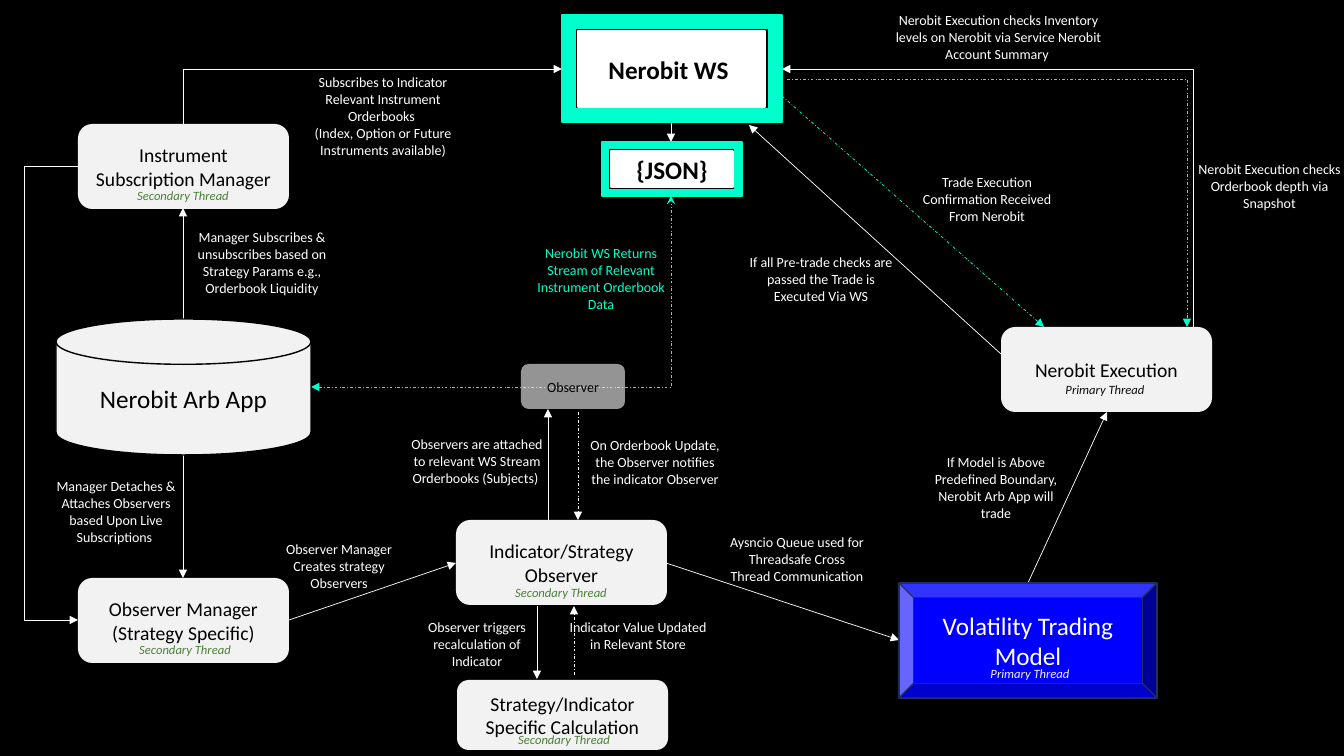
from pptx import Presentation
from pptx.dml.color import RGBColor
from pptx.enum.dml import MSO_LINE
from pptx.enum.shapes import MSO_CONNECTOR, MSO_SHAPE
from pptx.enum.text import MSO_ANCHOR, PP_ALIGN
from pptx.oxml.ns import qn
from pptx.util import Pt
from lxml import etree

BOX, FRAME, BEVEL = MSO_SHAPE.RECTANGLE, MSO_SHAPE.FRAME, MSO_SHAPE.BEVEL
ROUND = MSO_SHAPE.FLOWCHART_ALTERNATE_PROCESS
DISK = MSO_SHAPE.FLOWCHART_MAGNETIC_DISK
STRAIGHT, ELBOW = MSO_CONNECTOR.STRAIGHT, MSO_CONNECTOR.ELBOW
MIDDLE, TOP = MSO_ANCHOR.MIDDLE, MSO_ANCHOR.TOP
CENTER, DASH_DOT = PP_ALIGN.CENTER, MSO_LINE.DASH_DOT

THEME = dict(font="Calibri", black="000000", white="FFFFFF", mint="00FFCC",
             node="F2F2F2", blue="0000FF", navy="1E3256", green="4D7F39",
             ink="0D0D0D", title=18, body=14, label=10, note=9,
             line=0.5, border=1)
PX = 914400 / 100.8


def color(name):
    return RGBColor.from_string(THEME[name])


def write(shape, paragraphs, size, ink, anchor=TOP, bold=False, italic=False):
    tf = shape.text_frame
    tf.word_wrap = True
    tf.vertical_anchor = anchor
    for i, text in enumerate(paragraphs):
        p = tf.paragraphs[0] if i == 0 else tf.add_paragraph()
        p.alignment = CENTER
        r = p.add_run()
        r.text = text
        r.font.name, r.font.size = THEME["font"], Pt(THEME[size])
        r.font.bold, r.font.italic = bold, italic
        r.font.color.rgb = color(ink)


prs = Presentation()
prs.slide_width, prs.slide_height = round(1344 * PX), round(756 * PX)
s = prs.slides.add_slide(prs.slide_layouts[6])
s.background.fill.solid()
s.background.fill.fore_color.rgb = color("black")

# Labels beside the arrows: left, top, width, height, colour, paragraphs
labels = [
    (304, 69, 158, 95, "white",
     ["Subscribes to Indicator Relevant Instrument Orderbooks ",
      "(Index, Option or Future Instruments available)"]),
    (522, 240, 158, 95, "mint",
     ["Nerobit WS Returns Stream of Relevant Instrument Orderbook Data"]),
    (398, 431, 158, 95, "white",
     ["Observers are attached to relevant WS Stream Orderbooks (Subjects) "]),
    (183, 224, 158, 95, "white",
     ["Manager Subscribes & unsubscribes based on Strategy Params e.g., "
      "Orderbook Liquidity"]),
    (37, 473, 158, 95, "white",
     ["Manager Detaches & Attaches Observers based Upon Live Subscriptions "]),
    (576, 432, 158, 95, "white",
     ["On Orderbook Update, the Observer notifies the indicator Observer"]),
    (260, 536, 158, 95, "white",
     ["Observer Manager Creates strategy Observers"]),
    (398, 614, 158, 61, "white",
     ["Observer triggers recalculation of Indicator"]),
    (559, 614, 158, 61, "white",
     ["Indicator Value Updated in Relevant Store"]),
    (917, 449, 158, 78, "white",
     ["If Model is Above Predefined Boundary, Nerobit Arb App will trade"]),
    (875, 7, 247, 61, "white",
     ["Nerobit Execution checks Inventory levels on Nerobit via Service "
      "Nerobit Account Summary "]),
    (1182, 156, 175, 61, "white",
     ["Nerobit Execution checks Orderbook depth via Snapshot"]),
    (733, 249, 176, 61, "white",
     ["If all Pre-trade checks are passed the Trade is Executed Via WS"]),
    (899, 169, 176, 61, "white",
     ["Trade Execution Confirmation Received From Nerobit"]),
    (718, 529, 158, 61, "white",
     ["Aysncio Queue used for Threadsafe Cross Thread Communication"]),
]
for x, y, w, h, ink, paragraphs in labels:
    tb = s.shapes.add_textbox(*(round(v * PX) for v in (x, y, w, h)))
    write(tb, paragraphs, "label", ink)

# Arrows: points, colour, dashed, head, tail, bend
# An L bend runs across and then down or up; a U bend is a share of the width
arrows = [
    ((671, 122, 671, 142), "white", False, None, "triangle", None),
    ((183, 319, 183, 208), "white", False, None, "triangle", None),
    ((183, 455, 183, 578), "white", False, None, "triangle", None),
    ((289, 620, 456, 563), "white", False, None, "triangle", None),
    ((548, 520, 548, 409), "white", False, None, "triangle", None),
    ((574, 675, 574, 606), "white", True, None, "triangle", None),
    ((537, 606, 537, 679), "white", False, None, "triangle", None),
    ((578, 412, 578, 520), "white", True, None, "triangle", None),
    ((666, 563, 899, 640), "white", False, None, "triangle", None),
    ((1001, 354, 749, 125), "white", False, None, "triangle", None),
    ((782, 96, 1044, 327), "mint", True, None, "triangle", None),
    ((1028, 583, 1107, 412), "white", False, None, "triangle", None),
    ((562, 69, 183, 124), "white", False, "triangle", None, "L"),
    ((311, 387, 671, 196), "mint", True, "triangle", "stealth", "L"),
    ((782, 69, 1193, 327), "white", False, "triangle", None, "L"),
    ((787, 79, 1187, 327), "mint", True, None, "triangle", "L"),
    ((79, 166, 78, 620), "white", False, None, "triangle", 55),
]
for points, ink, dashed, head, tail, bend in arrows:
    c = s.shapes.add_connector(ELBOW if bend else STRAIGHT,
                               *(round(v * PX) for v in points))
    c.line.color.rgb = color(ink)
    c.line.width = Pt(THEME["line"])
    if dashed:
        c.line.dash_style = DASH_DOT
    spPr = c._element.spPr
    ln = spPr.find(qn("a:ln"))
    for tag, kind in (("a:headEnd", head), ("a:tailEnd", tail)):
        if kind:
            etree.SubElement(ln, qn(tag), type=kind)
    etree.SubElement(spPr, qn("a:effectLst"))
    geom = spPr.find(qn("a:prstGeom"))
    if bend == "L":
        geom.set("prst", "bentConnector2")
    elif bend:
        etree.SubElement(geom.find(qn("a:avLst")), qn("a:gd"),
                         name="adj1", fmla=f"val {bend * 100000}")

# Nodes: preset, left, top, width, height, fill, border, text, size, ink, bold
nodes = [
    (BOX, 611, 151, 122, 36, "white", "white", "{JSON}", "title", "black", True),
    (FRAME, 602, 142, 140, 54, "mint", "mint", None, None, None, False),
    (BOX, 578, 31, 187, 76, "white", "white", "Nerobit WS ", "title", "black", True),
    (FRAME, 562, 15, 220, 107, "mint", "mint", None, None, None, False),
    (DISK, 56, 319, 255, 136, "node", "black", "Nerobit Arb App", "title", "black", False),
    (ROUND, 521, 364, 104, 45, "node", None, "Observer", "label", "black", False),
    (BEVEL, 899, 583, 258, 115, "blue", "navy", "Volatility Trading Model",
     "title", "white", False),
]
threads = [
    (78, 124, 85, "Instrument Subscription Manager"),
    (78, 578, 85, "Observer Manager (Strategy Specific)"),
    (456, 520, 85, "Indicator/Strategy Observer"),
    (457, 680, 70, "Strategy/Indicator Specific Calculation"),
    (1001, 327, 85, "Nerobit Execution"),
]
nodes += [(ROUND, x, y, 211, h, "node", None, text, "body", "black", False)
          for x, y, h, text in threads]
for preset, x, y, w, h, fill, border, text, size, ink, bold in nodes:
    sp = s.shapes.add_shape(preset, *(round(v * PX) for v in (x, y, w, h)))
    sp.shadow.inherit = False
    sp.fill.solid()
    sp.fill.fore_color.rgb = color(fill)
    if border:
        sp.line.color.rgb = color(border)
        sp.line.width = Pt(THEME["border"])
    else:
        sp.line.fill.background()
    if text:
        write(sp, [text], size, ink, MIDDLE, bold)
    if text == "Observer":
        clr = sp._element.spPr.find(qn("a:solidFill"))[0]
        etree.SubElement(clr, qn("a:alpha"), val="61000")

# Thread notes inside the nodes
notes = [
    (122, 183, "Secondary Thread", "green"),
    (124, 637, "Secondary Thread", "green"),
    (503, 727, "Secondary Thread", "green"),
    (500, 580, "Secondary Thread", "green"),
    (969, 661, "Primary Thread", "node"),
    (1044, 377, "Primary Thread", "ink"),
]
for x, y, text, ink in notes:
    tb = s.shapes.add_textbox(*(round(v * PX) for v in (x, y, 122, 25)))
    write(tb, [text], "note", ink, italic=True)

prs.save("out.pptx")
